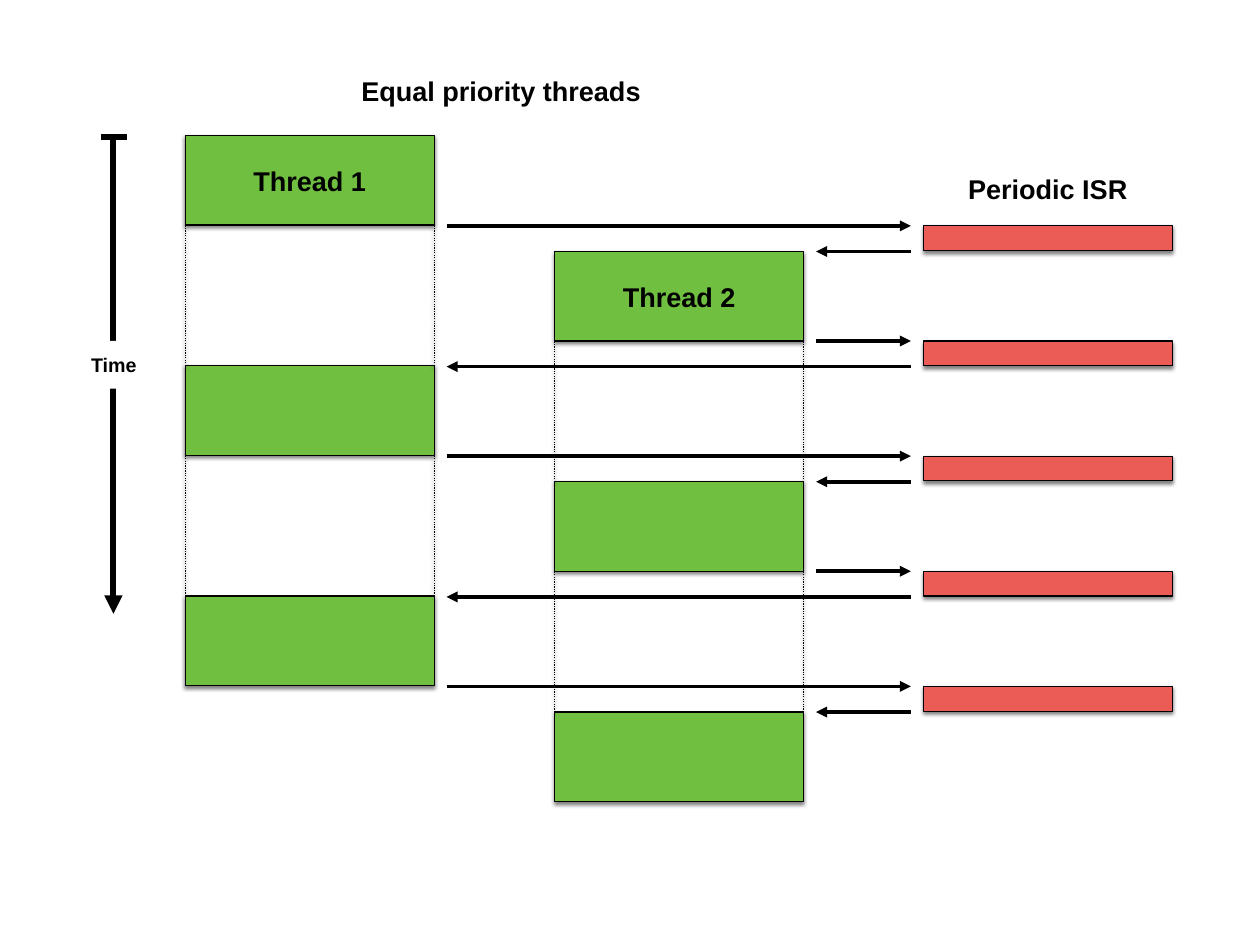
import pptx
import pptx.util
import pptx.dml.color
import pptx.enum.dml
import pptx.enum.shapes
import pptx.enum.text
import lxml.etree
from pptx.util import Inches

COLORS = {"thread": "70BF41", "isr": "EC5C57", "ink": "000000", "paper": "FFFFFF"}
DRAWING = "http://schemas.openxmlformats.org/drawingml/2006/main"
SHADOW = (
    f'<a:effectLst xmlns:a="{DRAWING}">'
    '<a:outerShdw blurRad="38100" dist="25400" dir="5400000" rotWithShape="0">'
    '<a:srgbClr val="000000"><a:alpha val="50000"/></a:srgbClr>'
    "</a:outerShdw></a:effectLst>"
)
NO_SHADOW = f'<a:effectLst xmlns:a="{DRAWING}"/>'


def add_line(start, end, width, arrow=False, dotted=False):
    line = slide.shapes.add_connector(
        pptx.enum.shapes.MSO_CONNECTOR.STRAIGHT, *[Inches(value) for value in start + end]
    )
    line.line.color.rgb = pptx.dml.color.RGBColor.from_string(COLORS["ink"])
    line.line.width = pptx.util.Pt(width)
    if dotted:
        line.line.dash_style = pptx.enum.dml.MSO_LINE.ROUND_DOT
    if arrow:
        outline = line.line._get_or_add_ln()
        lxml.etree.SubElement(outline, f"{{{DRAWING}}}tailEnd", type="triangle")
    line._element.spPr.append(pptx.oxml.parse_xml(SHADOW if dotted else NO_SHADOW))


def write_label(shape, text, size):
    frame = shape.text_frame
    frame.text = text
    frame.word_wrap = True
    frame.auto_size = pptx.enum.text.MSO_AUTO_SIZE.NONE
    frame.vertical_anchor = pptx.enum.text.MSO_ANCHOR.MIDDLE
    frame.margin_left = frame.margin_right = Inches(0.06)
    frame.margin_top = frame.margin_bottom = Inches(0.06)
    paragraph = frame.paragraphs[0]
    paragraph.alignment = pptx.enum.text.PP_ALIGN.CENTER
    paragraph.font.name = "Arial"
    paragraph.font.size = pptx.util.Pt(size)
    paragraph.font.bold = True
    paragraph.font.color.rgb = pptx.dml.color.RGBColor.from_string(COLORS["ink"])


presentation = pptx.Presentation()
presentation.slide_width = Inches(14.22)
presentation.slide_height = Inches(10.67)
slide = presentation.slides.add_slide(presentation.slide_layouts[5])

title = slide.shapes.title
title.left, title.top = Inches(2.56), Inches(0.79)
title.width, title.height = Inches(6.19), Inches(0.47)
write_label(title, "Equal priority threads", 22)

isr_label = slide.shapes.add_textbox(Inches(10.28), Inches(1.9), Inches(3.09), Inches(0.47))
write_label(isr_label, "Periodic ISR", 22)

add_line((1.28, 1.55), (1.28, 6.93), 5, arrow=True)
add_line((1.14, 1.55), (1.43, 1.55), 5)
time_label = slide.shapes.add_shape(
    pptx.enum.shapes.MSO_SHAPE.RECTANGLE, Inches(0.62), Inches(3.85), Inches(1.33), Inches(0.54)
)
time_label.shadow.inherit = False
time_label.fill.solid()
time_label.fill.fore_color.rgb = pptx.dml.color.RGBColor.from_string(COLORS["paper"])
time_label.line.fill.background()
write_label(time_label, "Time", 16)

BAR_WIDTH, THREAD_HEIGHT, ISR_HEIGHT = 2.81, 1.01, 0.28
ISR_LEFT, ISR_TOP, ISR_PERIOD = 10.42, 2.55, 1.3
THREAD_PERIOD, THREAD_RUNS = 2 * ISR_PERIOD, 3
GAP = 0.14
threads = [("Thread 1", 2.09, 1.53), ("Thread 2", 6.26, 2.84)]

bars = [
    ("isr", "", ISR_LEFT, ISR_TOP + index * ISR_PERIOD, ISR_HEIGHT) for index in range(5)
]
for name, left, top in threads:
    for run in range(THREAD_RUNS):
        label = name if run == 0 else ""
        bars.append(("thread", label, left, top + run * THREAD_PERIOD, THREAD_HEIGHT))

for kind, label, left, top, height in bars:
    bar = slide.shapes.add_shape(
        pptx.enum.shapes.MSO_SHAPE.RECTANGLE,
        Inches(left), Inches(top), Inches(BAR_WIDTH), Inches(height),
    )
    bar.fill.solid()
    bar.fill.fore_color.rgb = pptx.dml.color.RGBColor.from_string(COLORS[kind])
    bar.line.color.rgb = pptx.dml.color.RGBColor.from_string(COLORS["ink"])
    bar.line.width = pptx.util.Pt(1)
    bar._element.spPr.append(pptx.oxml.parse_xml(SHADOW))
    if label:
        write_label(bar, label, 22)

for index in range(5):
    leave_y = ISR_TOP + index * ISR_PERIOD
    return_y = leave_y + 0.29
    running_x = threads[index % 2][1] + BAR_WIDTH + GAP
    next_x = threads[(index + 1) % 2][1] + BAR_WIDTH + GAP
    add_line((running_x, leave_y), (ISR_LEFT - GAP, leave_y), 3, arrow=True)
    add_line((ISR_LEFT - GAP, return_y), (next_x, return_y), 3, arrow=True)

for name, left, top in threads:
    for run in range(THREAD_RUNS - 1):
        pause_top = top + run * THREAD_PERIOD + THREAD_HEIGHT
        resume_top = top + (run + 1) * THREAD_PERIOD
        for edge in (left, left + BAR_WIDTH):
            add_line((edge, resume_top), (edge, pause_top), 1, dotted=True)

presentation.save("out.pptx")
